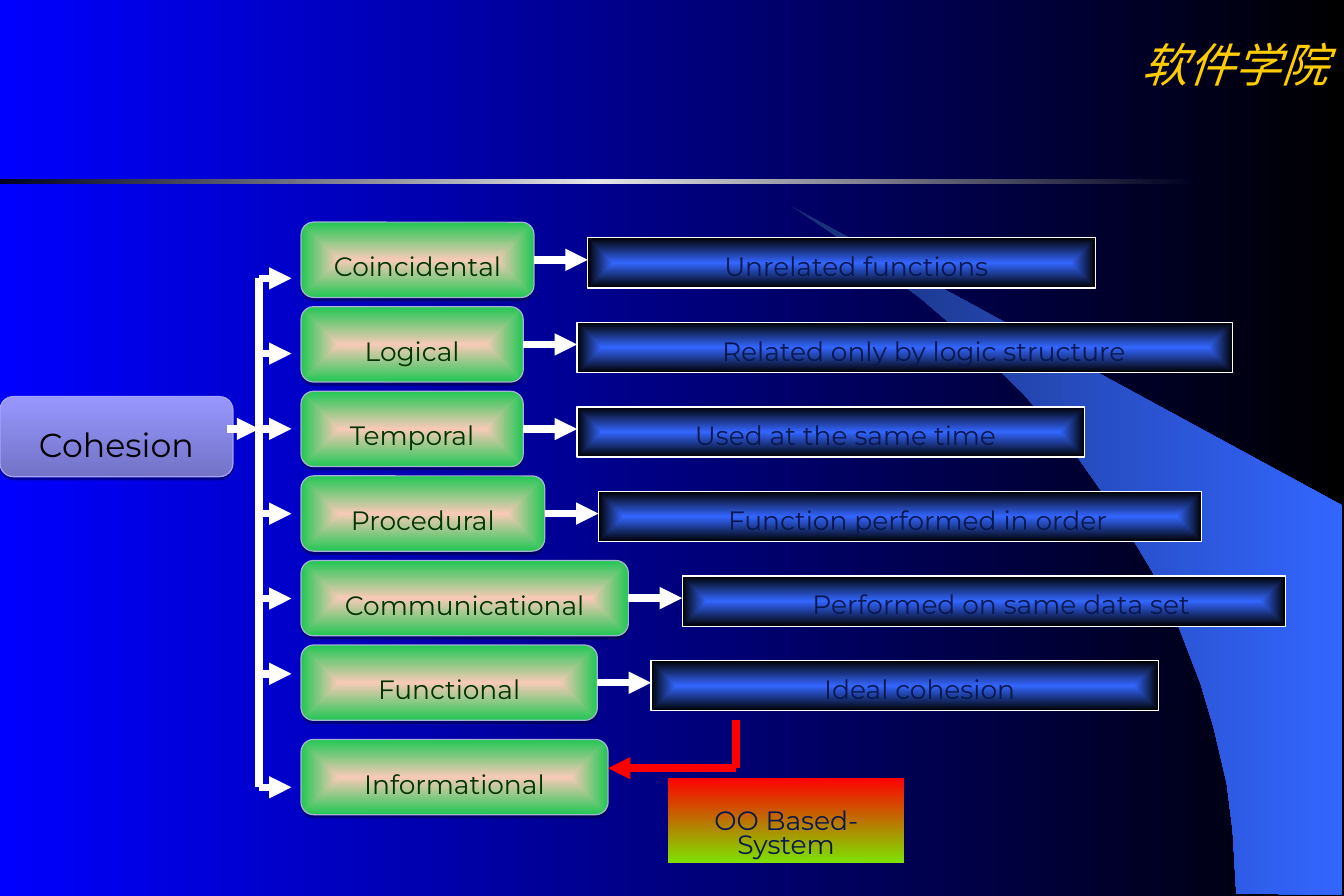
from lxml import etree
from pptx import Presentation
from pptx.dml.color import RGBColor
from pptx.enum.shapes import MSO_CONNECTOR, MSO_SHAPE
from pptx.enum.text import MSO_ANCHOR, PP_ALIGN
from pptx.oxml.ns import qn
from pptx.util import Inches, Pt

RECT, ROUNDED = MSO_SHAPE.RECTANGLE, MSO_SHAPE.ROUNDED_RECTANGLE
STRAIGHT = MSO_CONNECTOR.STRAIGHT
MIDDLE, CENTER = MSO_ANCHOR.MIDDLE, PP_ALIGN.CENTER
RIGHT_SIDE = 3

COLORS = {
    "white": "FFFFFF", "black": "000000", "red": "FF0000", "lime": "7DE100",
    "blue": "0000FF", "sky": "3366FF", "deep": "182F76", "navy": "08184E",
    "gold": "FFCC00", "night": "000020", "silver": "E5E5E8",
    "violet": "7373C7", "lilac": "9797FF", "lilac edge": "A4A4FB",
    "peach": "F8CAB6", "green": "21C754", "green edge": "A5B5CF", "forest": "003300",
}


def paint(fill, element, names, angle=None):
    """Spread the named colours evenly, along an angle or from the centre outwards."""
    fill.gradient()
    gradient = element.find(".//" + qn("a:gradFill"))
    gradient.clear()
    stops = etree.SubElement(gradient, qn("a:gsLst"))
    for index, name in enumerate(names):
        position = 100000 * index // (len(names) - 1)
        stop = etree.SubElement(stops, qn("a:gs"), pos=str(position))
        etree.SubElement(stop, qn("a:srgbClr"), val=COLORS[name])
    if angle is None:
        centre = etree.SubElement(gradient, qn("a:path"), path="rect")
        etree.SubElement(centre, qn("a:fillToRect"),
                         {side: "50000" for side in "ltrb"})
    else:
        etree.SubElement(gradient, qn("a:lin"), ang=str(angle * 60000), scaled="0")


def write(box, text, size, color, margins, line_spacing, space=0, font="Montserrat"):
    frame = box.text_frame
    frame.text = text
    frame.word_wrap = True
    frame.vertical_anchor = MIDDLE
    (frame.margin_left, frame.margin_top,
     frame.margin_right, frame.margin_bottom) = [Inches(m) for m in margins]
    para = frame.paragraphs[0]
    para.alignment = CENTER
    para.line_spacing = line_spacing
    para.space_before = Pt(space)
    span = para.runs[0]
    span.font.size = Pt(size)
    span.font.name = font
    span.font.color.rgb = RGBColor.from_string(COLORS[color])
    return span


deck = Presentation()
deck.slide_width, deck.slide_height = Inches(11.25), Inches(7.5)
page = deck.slides.add_slide(deck.slide_layouts[6])
paint(page.background.fill, page.element, ["blue", "black"], 0)

# School name
school = page.shapes.add_textbox(Inches(9.42), Inches(0.25), Inches(1.83), Inches(0.57))
span = write(school, "软件学院", 28, "gold", (0.1, 0.05, 0.1, 0.05), 1.0,
             font="Times New Roman")
span.font.italic = True

# Sweeping curve
outline = [(10.35, 7.48), (11.23, 7.49), (11.23, 4.23), (6.63, 1.73), (7.02, 1.99),
           (7.34, 2.22), (7.71, 2.5), (8.06, 2.8), (8.57, 3.3), (9.03, 3.84),
           (9.36, 4.31), (9.65, 4.79), (9.88, 5.28), (10.05, 5.72), (10.16, 6.09),
           (10.27, 6.56), (10.32, 6.96)]
points = [(Inches(x), Inches(y)) for x, y in outline]
builder = page.shapes.build_freeform(*points[0])
builder.add_line_segments(points[1:], close=True)
curve = builder.convert_to_shape()
curve.shadow.inherit = False
curve.line.fill.background()
paint(curve.fill, curve.element, ["deep", "sky"], 0)

# Header rule
rule = page.shapes.add_shape(RECT, 0, Inches(1.5), Inches(9.99), Inches(0.04))
rule.shadow.inherit = False
rule.line.fill.background()
paint(rule.fill, rule.element, ["night", "silver", "night"], 0)

# Root and the kinds of cohesion: text, left, top, width, height
pitch, label_left, label_height = 0.708, 2.52, 0.63
kinds = [("Coincidental", 1.95), ("Logical", 1.86), ("Temporal", 1.86),
         ("Procedural", 2.04), ("Communicational", 2.74), ("Functional", 2.48)]
labels = [(text, label_left, 1.86 + pitch * row, width, label_height)
          for row, (text, width) in enumerate(kinds)]
labels.append(("Informational", label_left, 6.19, 2.57, label_height))
labels.insert(0, ("Cohesion", 0, 3.32, 1.95, 0.67))
label_shapes = {}
for text, left, top, width, height in labels:
    is_root = text == "Cohesion"
    label = page.shapes.add_shape(ROUNDED, Inches(left), Inches(top),
                                  Inches(width), Inches(height))
    if is_root:
        paint(label.fill, label.element, ["violet", "lilac"], 270)
    else:
        paint(label.fill, label.element, ["peach", "green"])
    edge = COLORS["lilac edge" if is_root else "green edge"]
    label.line.color.rgb = RGBColor.from_string(edge)
    label.line.width = Pt(0.75)
    label.shadow.inherit = False
    effects = label.element.spPr.find(qn("a:effectLst"))
    shadow = etree.SubElement(effects, qn("a:outerShdw"), blurRad="0",
                              dist=str(Pt(1.8)), dir="5400000", rotWithShape="0")
    shade = etree.SubElement(shadow, qn("a:srgbClr"), val=COLORS["black"])
    etree.SubElement(shade, qn("a:alpha"), val="35000")
    write(label, text, 20 if is_root else 16, "black" if is_root else "forest",
          (0, 0, 0, 0), 1.4, 5 if is_root else 4)
    label_shapes[text] = label

# Lines: start, end, colour, arrowhead, label it starts from
trunk, tip, trunk_top, trunk_bottom = 2.17, 2.44, 2.33, 6.59
lines = [(trunk, trunk_top, trunk, trunk_bottom, "white", False, None),
         (1.9, 3.59, trunk, 3.59, "white", True, None),
         (6.16, 6.43, 5.09, 6.43, "red", True, None),
         (6.16, 6.03, 6.16, 6.43, "red", False, None)]
for y in (trunk_top, 2.96, 3.59, 4.3, 5.01, 5.64, trunk_bottom):
    lines.append((trunk, y, tip, y, "white", True, None))

# Meaning of each kind
meanings = [("Unrelated functions", 4.25), ("Related only by logic structure", 5.49),
            ("Used at the same time", 4.25), ("Function performed in order", 5.05),
            ("Performed on same data set", 5.05), ("Ideal cohesion", 4.25)]
for (kind, left, top, label_width, height), (text, width) in zip(labels[1:], meanings):
    right = left + label_width
    bar_left, bar_top, middle = right + 0.45, top + 0.13, top + height / 2
    bar = page.shapes.add_shape(RECT, Inches(bar_left), Inches(bar_top),
                                Inches(width), Inches(0.42))
    bar.shadow.inherit = False
    paint(bar.fill, bar.element, ["sky", "black"])
    bar.line.color.rgb = RGBColor.from_string(COLORS["white"])
    bar.line.width = Pt(0.75)
    caption = page.shapes.add_textbox(Inches(bar_left + width * 0.064),
                                      Inches(bar_top - 0.05),
                                      Inches(width * 0.93), Inches(0.36))
    write(caption, text, 16, "navy", (0.1, 0.31, 0.1, 0.04), 0.75, 4)
    lines.append((right, middle, bar_left, middle, "white", True, kind))

# Draw the lines
for x1, y1, x2, y2, color, has_head, kind in lines:
    line = page.shapes.add_connector(STRAIGHT, Inches(x1), Inches(y1),
                                     Inches(x2), Inches(y2))
    if kind:
        line.begin_connect(label_shapes[kind], RIGHT_SIDE)
    line.line.color.rgb = RGBColor.from_string(COLORS[color])
    line.line.width = Pt(4.5)
    if has_head:
        etree.SubElement(line.line._get_or_add_ln(), qn("a:tailEnd"), type="triangle")
    etree.SubElement(line.element.spPr, qn("a:effectLst"))

# Object-oriented note
note = page.shapes.add_shape(RECT, Inches(5.59), Inches(6.51), Inches(1.98), Inches(0.71))
note.shadow.inherit = False
note.line.fill.background()
paint(note.fill, note.element, ["red", "lime"], 90)
write(note, "OO Based-System", 16, "navy", (0.1, 0.31, 0.1, 0.05), 0.75, 4)

deck.save("out.pptx")
